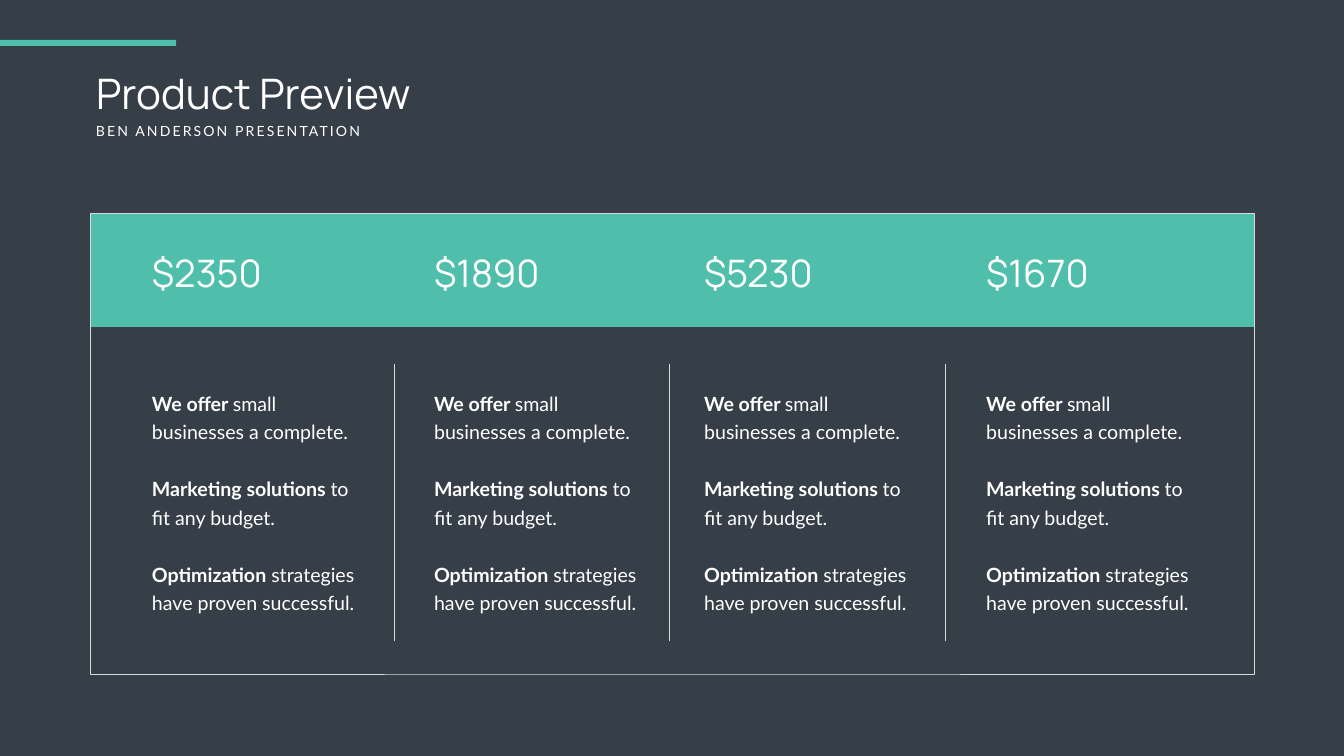
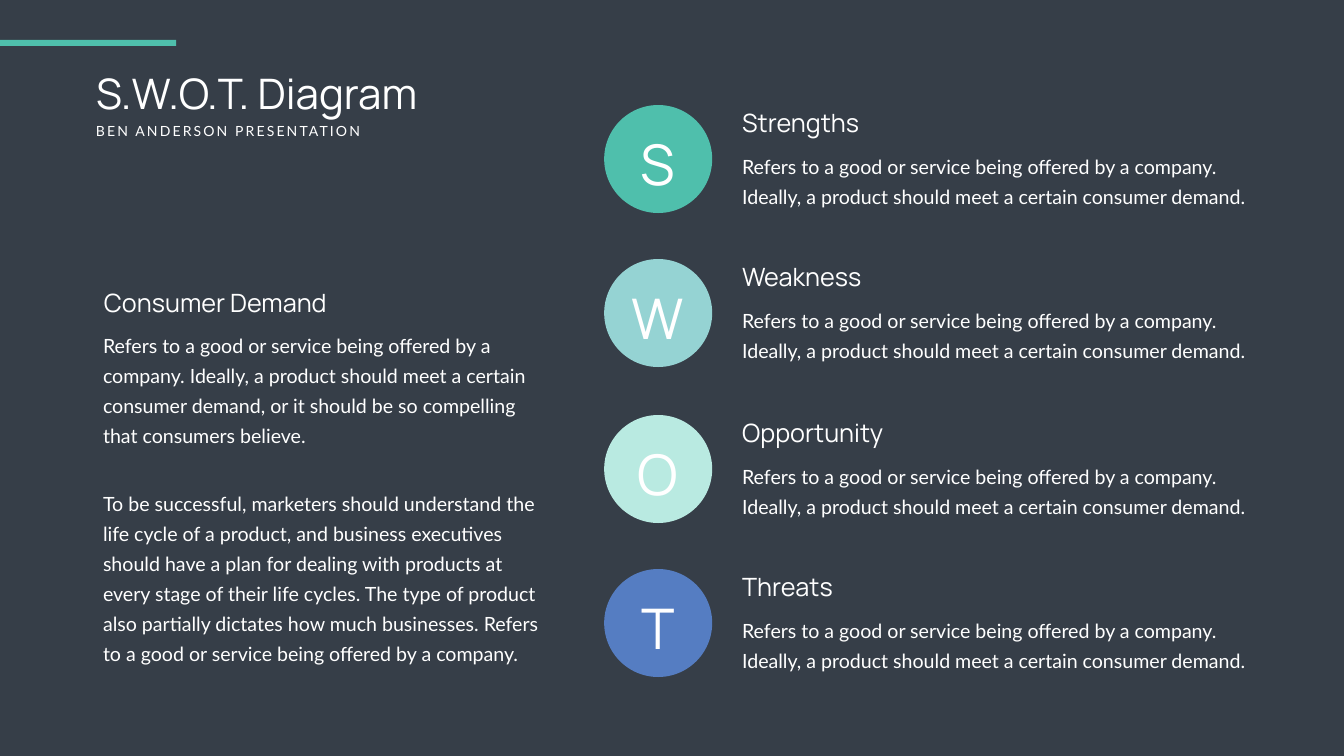
from dataclasses import dataclass

from lxml import etree
from pptx import Presentation
from pptx.dml.color import RGBColor
from pptx.enum.shapes import MSO_CONNECTOR, MSO_SHAPE
from pptx.enum.text import MSO_ANCHOR, MSO_AUTO_SIZE, PP_ALIGN
from pptx.oxml.ns import qn
from pptx.util import Inches, Pt

RECT, OVAL = MSO_SHAPE.RECTANGLE, MSO_SHAPE.OVAL
STRAIGHT = MSO_CONNECTOR.STRAIGHT
TOP, GROW = MSO_ANCHOR.TOP, MSO_AUTO_SIZE.SHAPE_TO_FIT_TEXT
LEFT, CENTER = PP_ALIGN.LEFT, PP_ALIGN.CENTER
SCALE = Inches(15) / 756


@dataclass(frozen=True)
class Theme:
    back: str = "363E48"
    text: str = "FFFFFF"
    rule: str = "D9D9D9"
    teal: str = "4FBFAC"
    aqua: str = "95D3D3"
    mint: str = "B9EAE1"
    blue: str = "557DC2"
    head: str = "Manrope"
    body: str = "Lato"
    title: int = 60
    price: int = 54
    topic: int = 36
    copy: int = 28
    label: int = 20
    letter: int = 80


THEME = Theme()

# Slide content
TAG = "BEN ANDERSON PRESENTATION"
PLANS = [("$2350", 147), ("$1890", 429), ("$5230", 699), ("$1670", 981)]
OFFER = [
    [("We offer ", True), ("small businesses a complete.", False)],
    [("Marketing solutions ", True), ("to fit any budget.", False)],
    [("Optimization", True), (" strategies have proven successful.", False)],
]
RULES = (394, 669, 945)
SWOT = [
    ("Strengths", THEME.teal, 105),
    ("Weakness", THEME.aqua, 259),
    ("Opportunity", THEME.mint, 415),
    ("Threats", THEME.blue, 569),
]
POINT = ("Refers to a good or service being offered by a company. "
         "Ideally, a product should meet a certain consumer demand.")
DEMAND = [
    "Refers to a good or service being offered by a company. Ideally, a "
    "product should meet a certain consumer demand, or it should be so "
    "compelling that consumers believe.",
    "To be successful, marketers should understand the life cycle of a "
    "product, and business executives should have a plan for dealing with "
    "products at every stage of their life cycles. The type of product also "
    "partially dictates how much businesses. Refers to a good or service "
    "being offered by a company.",
]


def px(*nums):
    return [round(n * SCALE) for n in nums]


def rgb(code):
    return RGBColor.from_string(code)


def apply(target, values):
    for name, value in values.items():
        setattr(target, name, value)


def write(shape, paras, size, font=THEME.body, align=LEFT, lead=None, gap=0,
          track=0, inset=None):
    """Fill a shape with paragraphs: each a string or a list of (text, bold)."""
    frame = shape.text_frame
    apply(frame, {"word_wrap": True, "auto_size": GROW, "vertical_anchor": TOP})
    if inset:
        side, edge = px(*inset)
        apply(frame, {"margin_left": side, "margin_right": side,
                      "margin_top": edge, "margin_bottom": edge})
    for i, runs in enumerate(paras):
        para = frame.add_paragraph() if i else frame.paragraphs[0]
        para.alignment = align
        if lead:
            para.line_spacing = Pt(lead)
        if i:
            para.space_before = Pt(gap)
        for words, bold in [(runs, False)] if isinstance(runs, str) else runs:
            run = para.add_run()
            run.text = words
            apply(run.font, {"name": font, "size": Pt(size), "bold": bold})
            run.font.color.rgb = rgb(THEME.text)
            if track:
                run.font._element.set("spc", str(track * 100))


def text(slide, box, paras, size, **style):
    write(slide.shapes.add_textbox(*px(*box)), paras, size, **style)


def shape(slide, kind, box, fill=None, line=None):
    item = slide.shapes.add_shape(kind, *px(*box))
    item.shadow.inherit = False
    if fill:
        item.fill.solid()
        item.fill.fore_color.rgb = rgb(fill)
    else:
        item.fill.background()
    if line:
        item.line.color.rgb = rgb(line)
        item.line.width = Pt(1)
    else:
        item.line.fill.background()


def rule(slide, x, top, end):
    item = slide.shapes.add_connector(STRAIGHT, *px(x, top, x, end))
    item.line.color.rgb = rgb(THEME.rule)
    item.line.width = Pt(0.5)
    etree.SubElement(item._element.spPr, qn("a:effectLst"))


def start(deck, title, width):
    """Add a slide with the shared title, accent bar and tag line."""
    slide = deck.slides.add_slide(deck.slide_layouts[5])
    head = slide.shapes.title
    left, top, wide, high = px(91, 65, width, 56)
    apply(head, {"left": left, "top": top, "width": wide, "height": high})
    write(head, [title], THEME.title, font=THEME.head)
    shape(slide, RECT, (0, 40, 176, 6), THEME.teal)
    text(slide, (91, 120, 295, 22), [TAG], THEME.label, track=3)
    return slide


def prices(deck):
    slide = start(deck, "Product Preview", 492)
    # Price band and frame
    shape(slide, RECT, (90, 213, 1164, 114), THEME.teal)
    shape(slide, RECT, (90, 213, 1164, 461), line=THEME.rule)
    # Plan columns
    for price, x in PLANS:
        text(slide, (x, 247, 167, 51), [price], THEME.price, font=THEME.head)
        text(slide, (x, 384, 213, 234), OFFER, THEME.copy, lead=40.8, gap=40.8)
    for x in RULES:
        rule(slide, x, 364, 641)


def swot(deck):
    slide = start(deck, "S.W.O.T. Diagram", 428)
    # Left column
    text(slide, (99, 285, 307, 36), ["Consumer Demand"], THEME.topic,
         font=THEME.head)
    text(slide, (91, 321, 461, 353), DEMAND, THEME.copy, lead=43, gap=54,
         inset=(12, 6))
    # Lettered circles with their topics
    for name, color, y in SWOT:
        shape(slide, OVAL, (604, y, 108, 108), color)
        text(slide, (596, y + 22, 124, 73), [name[0]], THEME.letter,
             font=THEME.head, align=CENTER)
        text(slide, (737, y, 331, 37), [name], THEME.topic, font=THEME.head)
        text(slide, (737, y + 41, 515, 62), [POINT], THEME.copy, lead=43)


def main():
    deck = Presentation()
    apply(deck, {"slide_width": Inches(26.66), "slide_height": Inches(15)})
    fill = deck.slide_master.background.fill
    fill.solid()
    fill.fore_color.rgb = rgb(THEME.back)
    prices(deck)
    swot(deck)
    deck.save("out.pptx")


main()
